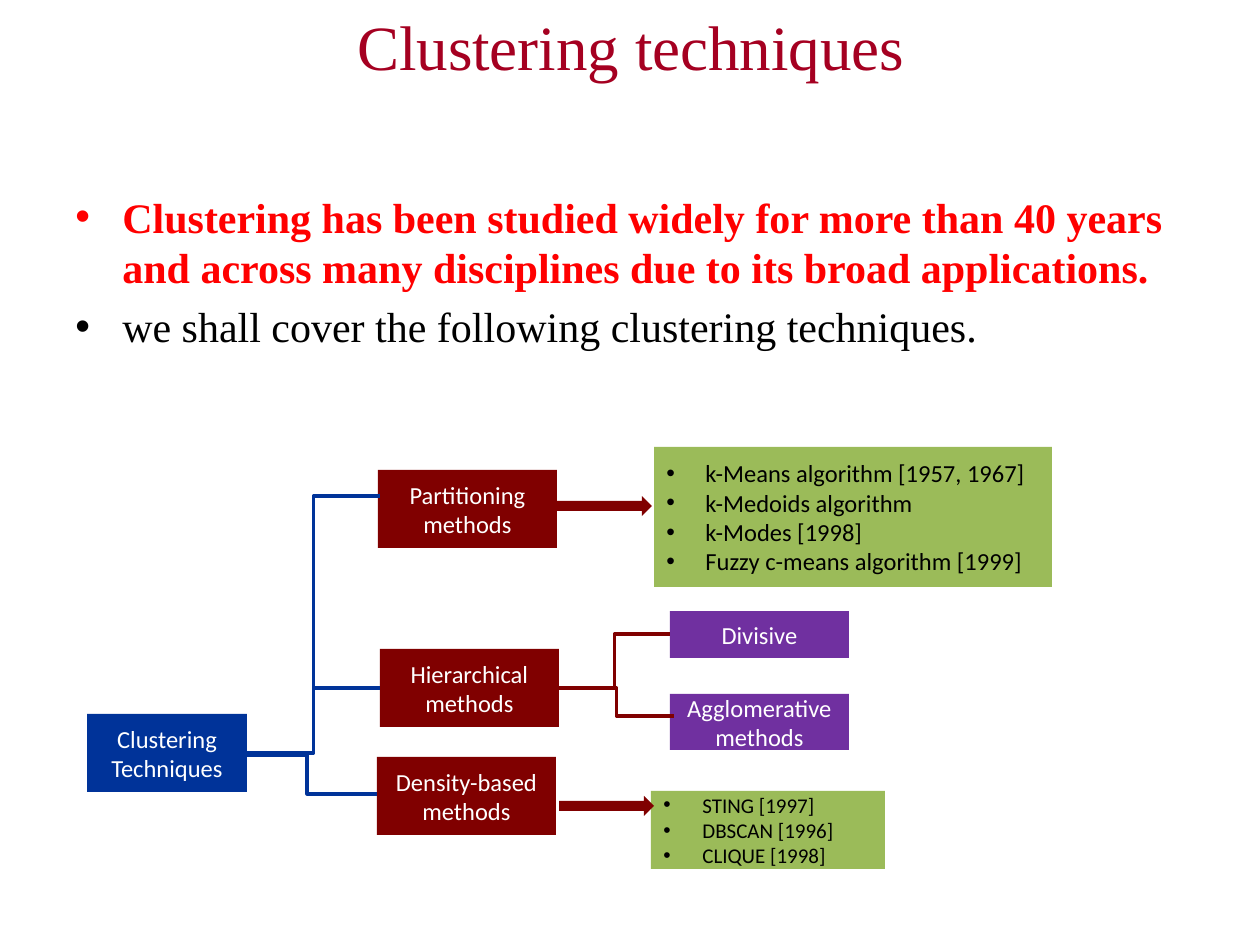
from lxml import etree
from pptx import Presentation
from pptx import util as u
from pptx.dml.color import RGBColor
from pptx.enum import shapes, text
from pptx.oxml import ns

PX = 914400 // 126
NAVY, MAROON, GREEN, PURPLE = "003399", "800000", "9BBB59", "7030A0"
WHITE, BLACK, RED, WINE = "FFFFFF", "000000", "FF0000", "A50021"
SERIF, SANS = "Times New Roman", "Calibri"
KIND, LINK = shapes.MSO_SHAPE, shapes.MSO_CONNECTOR
ALIGN, ANCHOR = text.PP_ALIGN, text.MSO_ANCHOR


def emu(*vals):
    return [u.Emu(v * PX) for v in vals]


def paint(target, color):
    """Colour a font, fill or line from a hex string."""
    if hasattr(target, "solid"):
        target.solid()
        target = target.fore_color
    else:
        target = target.color
    target.rgb = RGBColor.from_string(color)


def sub(parent, tag, **attrs):
    return etree.SubElement(parent, ns.qn(tag), **attrs)


def bullet(para, indent):
    """Give a paragraph a hanging bullet; indent is in px."""
    props = para._p.get_or_add_pPr()
    props.set("marL", str(indent * PX))
    props.set("indent", str(-indent * PX))
    sub(props, "a:buFont", typeface="Arial")
    sub(props, "a:buChar", char="•")


def write(frame, lines, size, font, indent=0, before=0):
    """Fill a frame with (words, colour, bold) lines, centred unless bulleted."""
    frame.word_wrap = True
    for i, (words, color, bold) in enumerate(lines):
        para = frame.paragraphs[0] if i == 0 else frame.add_paragraph()
        para.alignment = ALIGN.LEFT if indent else ALIGN.CENTER
        para.space_before = u.Pt(before)
        if indent:
            bullet(para, indent)
        run = para.add_run()
        run.text = words
        run.font.size, run.font.name, run.font.bold = u.Pt(size), font, bold
        paint(run.font, color)


def block(slide, box, color, kind=KIND.RECTANGLE):
    shape = slide.shapes.add_shape(kind, *emu(*box))
    shape.shadow.inherit = False
    paint(shape.fill, color)
    shape.line.fill.background()
    shape.text_frame.vertical_anchor = ANCHOR.MIDDLE
    return shape


def node(slide, box, color, label):
    write(block(slide, box, color).text_frame, [(label, WHITE, False)], 14, SANS)


def items(slide, box, names, size):
    lines = [(name, BLACK, False) for name in names]
    write(block(slide, box, GREEN).text_frame, lines, size, SANS, indent=39)


def link(slide, start, end, color, bend=None):
    """Join two points, straight when level; bend moves the elbow (of 100000)."""
    kind = LINK.STRAIGHT if start[1] == end[1] else LINK.ELBOW
    line = slide.shapes.add_connector(kind, *emu(*start, *end))
    paint(line.line, color)
    line.line.width = u.Pt(2)
    props = line._element.spPr
    sub(props, "a:effectLst")
    if bend:
        guides = props.find(ns.qn("a:prstGeom")).find(ns.qn("a:avLst"))
        sub(guides, "a:gd", name="adj1", fmla=f"val {bend}")


def title(slide, box):
    frame = slide.shapes.add_textbox(*emu(*box)).text_frame
    frame.vertical_anchor = ANCHOR.MIDDLE
    write(frame, [("Clustering techniques", WINE, False)], 36, SERIF)


def intro(slide, box):
    frame = slide.shapes.add_textbox(*emu(*box)).text_frame
    write(frame, [
        ("Clustering has been studied widely for more than 40 years and across "
         "many disciplines due to its broad applications.", RED, True),
        ("we shall cover the following clustering techniques.", BLACK, False),
    ], 24, SERIF, indent=47, before=5)


def tree(slide, box):
    """Draw the tree of methods, from the root at left to the leaves at right."""
    left, top, _, _ = box

    def at(x, y, *size):
        return (left + x, top + y, *size)

    node(slide, at(0, 267, 160, 78), NAVY, "Clustering Techniques")
    for x, y, label in [(291, 23, "Partitioning methods"),
                        (293, 202, "Hierarchical methods"),
                        (290, 310, "Density-based methods")]:
        node(slide, at(x, y, 179, 78), MAROON, label)
    for y, high, label in [(164, 47, "Divisive"),
                           (247, 56, "Agglomerative methods")]:
        node(slide, at(583, y, 179, high), PURPLE, label)
    items(slide, at(567, 0, 398, 140),
          ["k-Means algorithm [1957, 1967]", "k-Medoids algorithm",
           "k-Modes [1998]", "Fuzzy c-means algorithm [1999]"], 14)
    items(slide, at(564, 344, 234, 78),
          ["STING [1997]", "DBSCAN [1996]", "CLIQUE [1998]"], 12)

    link(slide, at(160, 306), at(293, 49), NAVY)
    link(slide, at(226, 241), at(293, 241), NAVY)
    link(slide, at(160, 308), at(223, 347), NAVY, bend=95700)
    link(slide, at(223, 347), at(290, 347), NAVY)
    for end in [(583, 187), (587, 269)]:
        link(slide, at(472, 241), at(*end), MAROON)
    for x, y in [(470, 49), (472, 349)]:
        block(slide, at(x, y, 95, 20), MAROON, KIND.RIGHT_ARROW)


def main():
    deck = Presentation()
    deck.slide_width, deck.slide_height = u.Inches(10), u.Inches(7.5)
    slide = deck.slides.add_slide(deck.slide_layouts[6])
    title(slide, (64, -34, 1134, 158))
    intro(slide, (63, 185, 1138, 700))
    tree(slide, (87, 447, 965, 422))
    deck.save("out.pptx")


if __name__ == "__main__":
    main()
